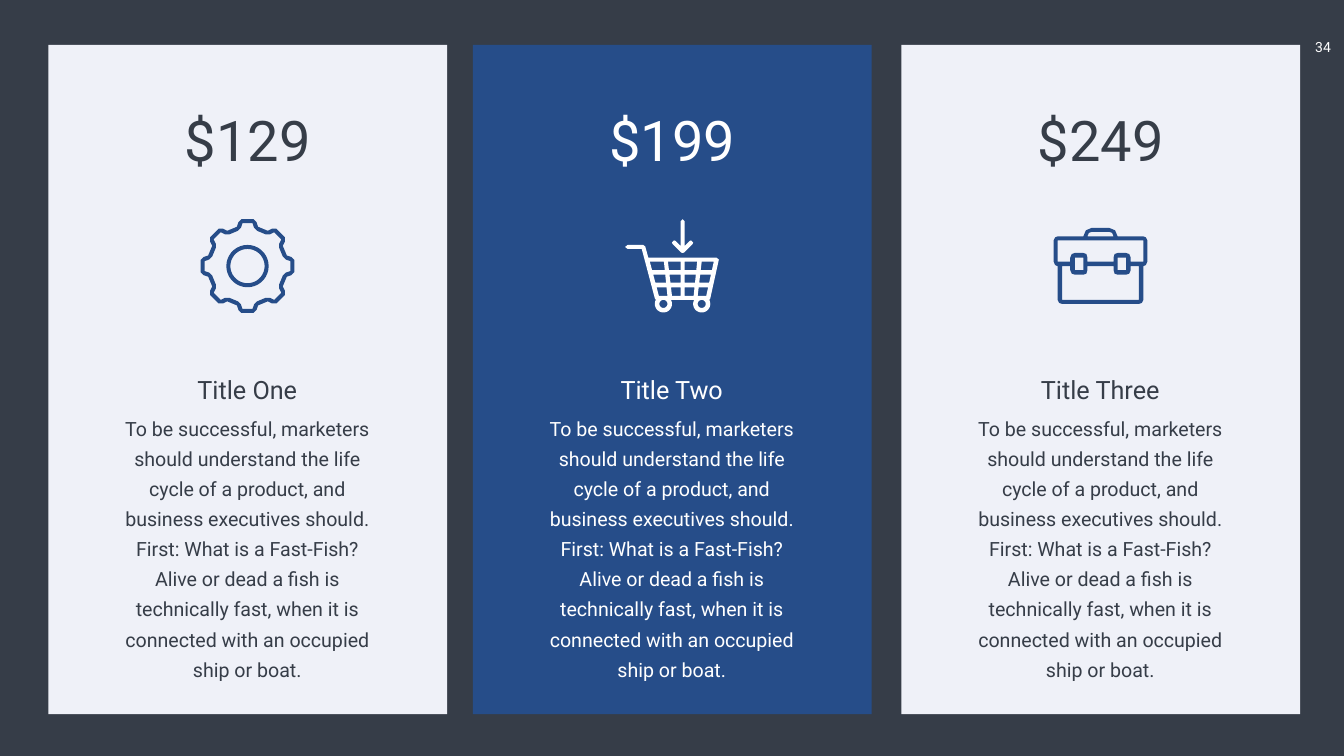
from dataclasses import dataclass
from math import cos, pi, radians, sin

from pptx import Presentation
from pptx import util as u
from pptx.dml.color import RGBColor
from pptx.enum import shapes, text


@dataclass(frozen=True)
class Theme:
    font: str = "Roboto"
    dark: RGBColor = RGBColor(0x36, 0x3D, 0x48)
    pale: RGBColor = RGBColor(0xEF, 0xF1, 0xF8)
    blue: RGBColor = RGBColor(0x26, 0x4D, 0x89)
    white: RGBColor = RGBColor(0xFF, 0xFF, 0xFF)
    price_size: int = 80
    title_size: int = 36
    body_size: int = 28
    number_size: int = 20
    body_leading: int = 43


theme = Theme()


def add_text(slide, box, paragraphs, size, color, wrap=True, leading=None):
    """Add a centred text box; box is left, top, width, height in inches."""
    shape = slide.shapes.add_textbox(*map(u.Inches, box))
    frame = shape.text_frame
    frame.word_wrap = wrap
    frame.auto_size = text.MSO_AUTO_SIZE.SHAPE_TO_FIT_TEXT
    frame.text = "\n".join(paragraphs)
    for paragraph in frame.paragraphs:
        paragraph.alignment = text.PP_ALIGN.CENTER
        paragraph.font.name = theme.font
        paragraph.font.size = u.Pt(size)
        paragraph.font.color.rgb = color
        if leading:
            paragraph.line_spacing = u.Pt(leading)
    return frame


def arc_points(x, y, radius, start=0, end=360):
    """Points along an arc, in steps of about ten degrees, clockwise on screen."""
    steps = round((end - start) / 10)
    angles = [radians(start + (end - start) * step / steps) for step in range(steps + 1)]
    return [(x + radius * cos(angle), y + radius * sin(angle)) for angle in angles]


# An icon is a list of contours, in inches from its centre; inner contours are holes.

# Gear: half of one tooth as (distance from centre, offset sideways), for both edges
gear = [arc_points(0, 0, 0.42), arc_points(0, 0, 0.34)]
for half_tooth in ([(0.78, 0.21), (0.87, 0.18), (0.93, 0.12)],
                   [(0.70, 0.19), (0.76, 0.13), (0.85, 0.10)]):
    tooth = [(along, -across) for along, across in half_tooth] + half_tooth[::-1]
    gear.append([(along * cos(angle) - across * sin(angle),
                  along * sin(angle) + across * cos(angle))
                 for angle in (turn * pi / 4 for turn in range(8))
                 for along, across in tooth])

# Cart: silhouette with wheels, then arrow, wheel holes and basket cells
WHEELS = [(0.59, 0.75), (-0.17, 0.75)]
cart = [
    [(-0.93, -0.38), (-0.88, -0.42), (-0.57, -0.42), (-0.53, -0.39), (-0.47, -0.17),
     (0.88, -0.17), (0.93, -0.13), (0.76, 0.64),
     *arc_points(*WHEELS[0], 0.17, -28, 208), *arc_points(*WHEELS[1], 0.17, -28, 208),
     (-0.34, 0.64), (-0.6, -0.34), (-0.88, -0.34)],
    [(0.17, -0.89), (0.21, -0.93), (0.25, -0.89), (0.25, -0.4), (0.35, -0.5),
     (0.38, -0.51), (0.42, -0.47), (0.41, -0.44), (0.24, -0.27), (0.21, -0.26),
     (0.18, -0.27), (0.01, -0.44), (0, -0.47), (0.04, -0.51), (0.07, -0.5), (0.17, -0.4)],
]
cart += [arc_points(*wheel, 0.08) for wheel in WHEELS]
BASKET_TOP, BASKET_BOTTOM = -0.09, 0.59
# Each edge is its x at the top and at the bottom of the basket
COLUMNS = [((-0.44, -0.26), (-0.16, -0.09)), ((-0.08, 0), (0.17, 0.17)),
           ((0.25, 0.25), (0.5, 0.43)), ((0.59, 0.51), (0.83, 0.68))]
for top, bottom in [(-0.09, 0.08), (0.17, 0.33), (0.42, 0.59)]:
    for left_edge, right_edge in COLUMNS:
        corners = [(left_edge, top), (right_edge, top),
                   (right_edge, bottom), (left_edge, bottom)]
        cart.append([(edge[0] + (edge[1] - edge[0]) * (y - BASKET_TOP)
                      / (BASKET_BOTTOM - BASKET_TOP), y) for edge, y in corners])

# Briefcase: left halves of the silhouette, handle, lid and body, mirrored
HALVES = [
    [(-0.17, -0.76), (-0.29, -0.71), (-0.34, -0.59), (-0.85, -0.59), (-0.9, -0.57),
     (-0.93, -0.51), (-0.93, -0.09), (-0.9, -0.02), (-0.85, 0), (-0.85, 0.67),
     (-0.82, 0.73), (-0.76, 0.75)],
    [(-0.17, -0.68), (-0.23, -0.66), (-0.26, -0.59)],
    [(-0.85, -0.51), (-0.85, -0.09), (-0.6, -0.09), (-0.6, -0.17), (-0.57, -0.24),
     (-0.51, -0.26), (-0.34, -0.26), (-0.28, -0.24), (-0.26, -0.17), (-0.26, -0.09)],
    [(-0.76, 0.67), (-0.76, 0), (-0.6, 0), (-0.6, 0.08), (-0.57, 0.15),
     (-0.51, 0.17), (-0.34, 0.17), (-0.28, 0.15), (-0.26, 0.08), (-0.26, 0)],
]
briefcase = [half + [(-x, y) for x, y in reversed(half)] for half in HALVES]
briefcase += [[(x, -0.17), (x + 0.17, -0.17), (x + 0.17, 0.08), (x, 0.08)]
              for x in (-0.51, 0.34)]

DESCRIPTION = [
    "To be successful, marketers should understand the life cycle of a product, "
    "and business executives should.",
    "First: What is a Fast-Fish? Alive or dead a fish is technically fast, "
    "when it is connected with an occupied ship or boat.",
]

# Card centre, price, title, icon, card colour, text colour, icon colour
cards = [
    (4.91, "$129", "Title One", gear, theme.pale, theme.dark, theme.blue),
    (13.33, "$199", "Title Two", cart, theme.blue, theme.white, theme.white),
    (21.83, "$249", "Title Three", briefcase, theme.pale, theme.dark, theme.blue),
]
ICON_MIDDLE = 5.28

presentation = Presentation()
presentation.slide_width = u.Inches(26.66)
presentation.slide_height = u.Inches(15)
slide = presentation.slides.add_slide(presentation.slide_layouts[6])
slide.background.fill.solid()
slide.background.fill.fore_color.rgb = theme.dark

number_frame = add_text(slide, (25.79, 0.67, 0.91, 0.54), ["34"],
                        theme.number_size, theme.white, wrap=False)
number_frame.margin_left = number_frame.margin_right = u.Inches(0.2)
number_frame.margin_top = number_frame.margin_bottom = u.Inches(0.1)

for center, price, title, icon, card_color, text_color, icon_color in cards:
    card = slide.shapes.add_shape(shapes.MSO_SHAPE.RECTANGLE, u.Inches(center - 3.95),
                                  u.Inches(0.89), u.Inches(7.91), u.Inches(13.28))

    add_text(slide, (center - 1.36, 2.04, 2.73, 1.45), [price],
             theme.price_size, text_color, wrap=False)
    add_text(slide, (center - 2.23, 7.38, 4.45, 0.71), [title],
             theme.title_size, text_color)
    add_text(slide, (center - 2.77, 8.09, 5.53, 4.87), DESCRIPTION,
             theme.body_size, text_color, leading=theme.body_leading)

    builder = None
    for contour in icon:
        points = [(u.Inches(center + x), u.Inches(ICON_MIDDLE + y)) for x, y in contour]
        if builder is None:
            builder = slide.shapes.build_freeform(*points[0])
        else:
            builder.move_to(*points[0])
        builder.add_line_segments(points[1:], close=True)
    icon_shape = builder.convert_to_shape()

    for shape, color in ((card, card_color), (icon_shape, icon_color)):
        shape.shadow.inherit = False
        shape.fill.solid()
        shape.fill.fore_color.rgb = color
        shape.line.fill.background()

presentation.save("out.pptx")
